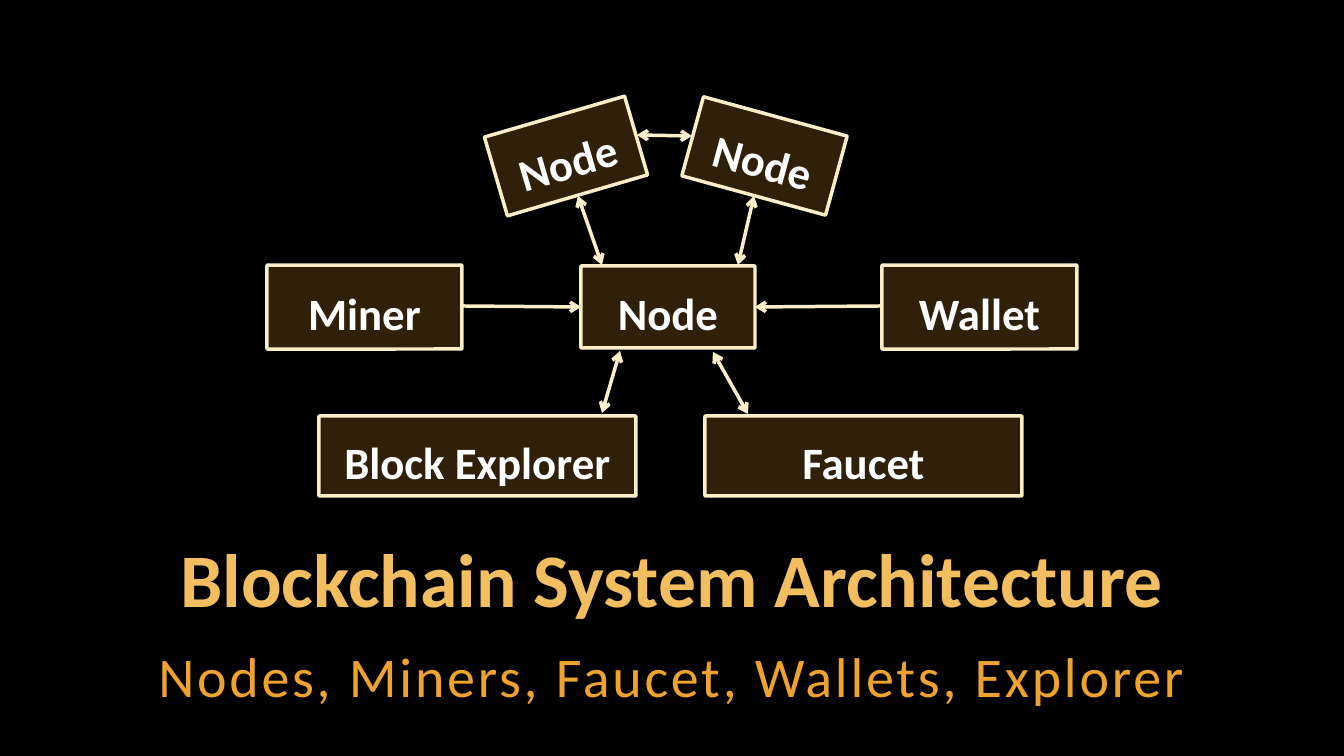
from lxml import etree
from pptx import Presentation
from pptx.dml.color import RGBColor
from pptx.enum.shapes import MSO_CONNECTOR, MSO_SHAPE
from pptx.enum.text import MSO_ANCHOR, PP_ALIGN
from pptx.oxml.ns import qn
from pptx.util import Pt

PX = 914400 / 100.8
FONT = "Calibri"
COLORS = {
    "background": "000000",
    "title": "F3BE60",
    "amber": "F0A22E",
    "cream": "FBEEC9",
    "label": "FFFFFF",
}


def emu(*pixels):
    return [round(value * PX) for value in pixels]


def color(name):
    return RGBColor.from_string(COLORS[name])


def write(frame, text, size, color_name, bold, spacing, anchor):
    frame.word_wrap = True
    frame.vertical_anchor = anchor
    paragraph = frame.paragraphs[0]
    paragraph.alignment = PP_ALIGN.CENTER
    paragraph.line_spacing = spacing
    run = paragraph.add_run()
    run.text = text
    run.font.name = FONT
    run.font.size = Pt(size)
    run.font.bold = bold
    run.font.color.rgb = color(color_name)
    return run


def outline(line):
    line.color.rgb = color("cream")
    line.width = Pt(2.5)


def add_component(slide, label, left, top, width, height, rotation=0):
    shape = slide.shapes.add_shape(MSO_SHAPE.ROUNDED_RECTANGLE, *emu(left, top, width, height))
    shape.adjustments[0] = 0.01
    shape.rotation = rotation
    shape.shadow.inherit = False
    shape.fill.solid()
    shape.fill.fore_color.rgb = color("amber")
    fill_color = shape.fill._xPr.find(qn("a:solidFill"))[0]
    etree.SubElement(fill_color, qn("a:alpha")).set("val", "20000")
    outline(shape.line)
    write(shape.text_frame, label, 32, "label", True, 1.2, MSO_ANCHOR.MIDDLE)


def add_arrow(slide, x1, y1, x2, y2, ends):
    arrow = slide.shapes.add_connector(MSO_CONNECTOR.STRAIGHT, *emu(x1, y1, x2, y2))
    outline(arrow.line)
    line = arrow.line._get_or_add_ln()
    for end in ends:
        etree.SubElement(line, qn("a:" + end)).set("type", "arrow")
    etree.SubElement(arrow._element.spPr, qn("a:effectLst"))


def draw_network(slide, left, top):
    components = [
        ("Node", 314, 151, 174, 82, 0),
        ("Wallet", 615, 150, 195, 84, 0),
        ("Miner", 0, 150, 195, 84, 0),
        ("Block Explorer", 52, 301, 317, 80, 0),
        ("Faucet", 438, 301, 317, 80, 0),
        ("Node", 226, 0, 146, 82, 343.7),
        ("Node", 423, 0, 149, 82, 15.3),
    ]
    one_way = ["tailEnd"]
    two_way = ["headEnd", "tailEnd"]
    links = [
        (615, 191, 488, 192, one_way),
        (195, 191, 314, 192, one_way),
        (425, 21, 370, 20, two_way),
        (335, 150, 311, 81, two_way),
        (471, 150, 487, 81, two_way),
        (335, 298, 353, 236, two_way),
        (481, 299, 446, 237, two_way),
    ]
    for label, x, y, width, height, rotation in components:
        add_component(slide, label, left + x, top + y, width, height, rotation)
    for x1, y1, x2, y2, ends in links:
        add_arrow(slide, left + x1, top + y1, left + x2, top + y2, ends)


def add_heading(slide, box, text, size, color_name, bold, spacing, anchor):
    frame = slide.shapes.add_textbox(*emu(*box)).text_frame
    frame.margin_left = frame.margin_right = emu(4)[0]
    frame.margin_top = frame.margin_bottom = emu(4)[0]
    return write(frame, text, size, color_name, bold, spacing, anchor)


def draw_headings(slide, left, top, width):
    add_heading(slide, (left, top, width, 91), "Blockchain System Architecture",
                54, "title", True, 0.9, MSO_ANCHOR.BOTTOM)
    subtitle = add_heading(slide, (left, top + 97, width, 80),
                           "Nodes, Miners, Faucet, Wallets, Explorer",
                           40, "amber", False, 1.05, MSO_ANCHOR.TOP)
    subtitle.font._element.set("spc", "200")


deck = Presentation()
deck.slide_width, deck.slide_height = emu(1344, 756)
slide = deck.slides.add_slide(deck.slide_layouts[6])
slide.background.fill.solid()
slide.background.fill.fore_color.rgb = color("background")
draw_headings(slide, 101, 537, 1142)
draw_network(slide, 267, 115)
deck.save("out.pptx")
